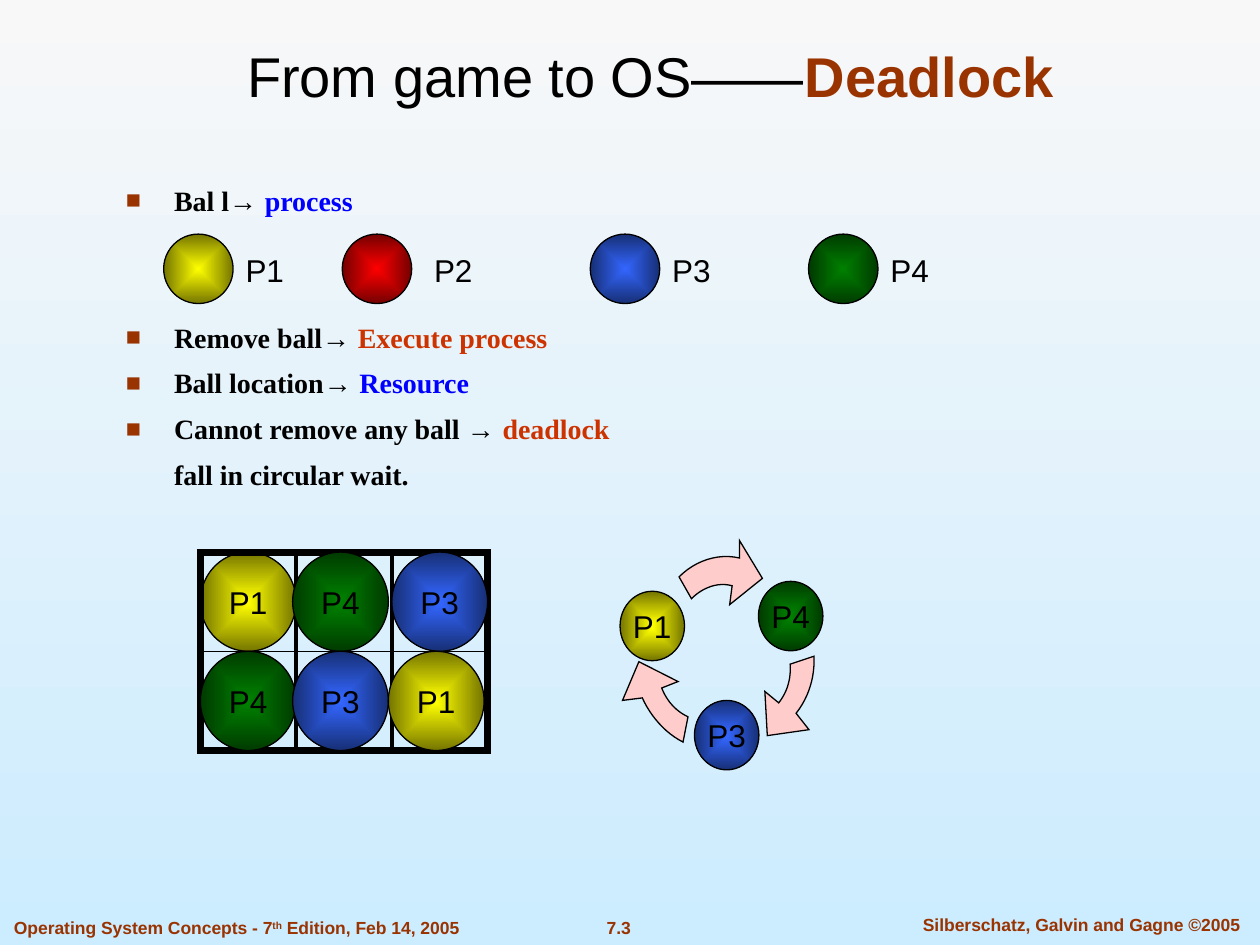
"""Build the slide that maps the ball game to operating system deadlock."""
from dataclasses import dataclass

import pptx
import pptx.dml.color
import pptx.enum.shapes
import pptx.enum.text
import pptx.oxml
import pptx.oxml.ns
import pptx.util
from pptx.util import Cm

ALIGN = pptx.enum.text.PP_ALIGN
ANCHOR = pptx.enum.text.MSO_ANCHOR
SHAPES = pptx.enum.shapes.MSO_SHAPE
A_NS = pptx.oxml.ns.nsdecls("a")
BLACK, BROWN, BLUE, ORANGE = "000000", "993300", "0000FF", "CC3300"
SANS, SERIF = "Arial", "Times New Roman"
BALL_COLORS = {
    "P1": ("FFFF00", "757500"),
    "P2": ("FF0000", "750000"),
    "P3": ("3366FF", "172F75"),
    "P4": ("008000", "003B00"),
}
Point = tuple[float, float]


@dataclass
class Ball:
    process: str
    left: float
    top: float
    width: float
    height: float
    labelled: bool = True


@dataclass
class Span:
    text: str
    color: str = BLACK
    font: str = SERIF
    bold: bool = True
    superscript: bool = False


@dataclass
class Line:
    spans: list[Span]
    space_before: float = 7
    bulleted: bool = True


@dataclass
class Arrow:
    inner: list[Point]
    outer: list[Point]
    head: list[Point]


def rgb(value: str) -> pptx.dml.color.RGBColor:
    return pptx.dml.color.RGBColor.from_string(value)


def write(paragraph, spans: list[Span], size: float) -> None:
    for span in spans:
        run = paragraph.add_run()
        run.text = span.text
        run.font.name = span.font
        run.font.size = pptx.util.Pt(size)
        run.font.bold = span.bold
        run.font.color.rgb = rgb(span.color)
        if span.superscript:
            run._r.get_or_add_rPr().set("baseline", "30000")


def add_text(slide, left: float, top: float, width: float, height: float,
             spans: list[Span], size: float, align=ALIGN.LEFT) -> None:
    frame = slide.shapes.add_textbox(Cm(left), Cm(top), Cm(width), Cm(height)).text_frame
    frame.word_wrap = True
    frame.paragraphs[0].alignment = align
    write(frame.paragraphs[0], spans, size)


def set_gradient(fill, colors: tuple[str, str]) -> None:
    fill.gradient()
    for stop, color, position in zip(fill.gradient_stops, colors, (0, 1)):
        stop.color.rgb = rgb(color)
        stop.position = position


def outline(shape, points: float = 0.75) -> None:
    shape.shadow.inherit = False
    shape.line.color.rgb = rgb(BLACK)
    shape.line.width = pptx.util.Pt(points)
    edge = shape._element.spPr.find(pptx.oxml.ns.qn("a:ln"))
    edge.append(pptx.oxml.parse_xml(f'<a:miter {A_NS} lim="800000"/>'))


def add_ball(slide, ball: Ball) -> None:
    shape = slide.shapes.add_shape(
        SHAPES.OVAL, Cm(ball.left), Cm(ball.top), Cm(ball.width), Cm(ball.height))
    outline(shape)
    set_gradient(shape.fill, BALL_COLORS[ball.process])
    gradient = shape._element.spPr.find(pptx.oxml.ns.qn("a:gradFill"))
    center = pptx.oxml.parse_xml(
        f'<a:path {A_NS} path="rect"><a:fillToRect l="50000" t="50000" r="50000" b="50000"/></a:path>')
    gradient.replace(gradient.find(pptx.oxml.ns.qn("a:lin")), center)
    if ball.labelled:
        frame = shape.text_frame
        frame.word_wrap = False
        frame.vertical_anchor = ANCHOR.MIDDLE
        frame.paragraphs[0].alignment = ALIGN.CENTER
        write(frame.paragraphs[0], [Span(ball.process, font=SANS, bold=False)], 18)


def add_rule(slide, start: Point, end: Point, points: float) -> None:
    rule = slide.shapes.add_connector(
        pptx.enum.shapes.MSO_CONNECTOR.STRAIGHT, *map(Cm, start), *map(Cm, end))
    rule.line.color.rgb = rgb(BLACK)
    rule.line.width = pptx.util.Pt(points)
    rule._element.spPr.append(pptx.oxml.parse_xml(f"<a:effectLst {A_NS}/>"))


def bezier(controls: list[Point], steps: int = 12) -> list[Point]:
    curve = []
    for step in range(steps + 1):
        t = step / steps
        weights = ((1 - t) ** 3, 3 * t * (1 - t) ** 2, 3 * t * t * (1 - t), t ** 3)
        curve.append(tuple(sum(w * p[axis] for w, p in zip(weights, controls)) for axis in (0, 1)))
    return curve


def add_arrow(slide, arrow: Arrow) -> None:
    start, *rest = [(Cm(x), Cm(y)) for x, y in bezier(arrow.inner) + bezier(arrow.outer) + arrow.head]
    builder = slide.shapes.build_freeform(*start)
    builder.add_line_segments(rest, close=True)
    shape = builder.convert_to_shape()
    outline(shape)
    shape.fill.solid()
    shape.fill.fore_color.rgb = rgb("FFCCCC")


def mapping(game: str, system: str, color: str, space_before: float = 7) -> Line:
    return Line([Span(game), Span("→ ", font=SANS), Span(system, color)], space_before)


def add_mappings(slide, lines: list[Line]) -> None:
    frame = slide.shapes.add_textbox(Cm(2.29), Cm(3.57), Cm(17.4), Cm(12.45)).text_frame
    frame.word_wrap = True
    for index, line in enumerate(lines):
        paragraph = frame.add_paragraph() if index else frame.paragraphs[0]
        properties = paragraph._p.get_or_add_pPr()
        properties.set("marL", str(Cm(0.97)))
        properties.set("indent", str(-Cm(0.97) if line.bulleted else 0))
        paragraph.space_before = pptx.util.Pt(line.space_before)
        if line.bulleted:
            for bullet in (f'<a:buClr {A_NS}><a:srgbClr val="{BROWN}"/></a:buClr>',
                           f'<a:buSzPct {A_NS} val="90000"/>',
                           f'<a:buFont {A_NS} typeface="{SANS}"/>',
                           f'<a:buChar {A_NS} char="■"/>'):
                properties.append(pptx.oxml.parse_xml(bullet))
        write(paragraph, line.spans, 16)


def add_board(slide, left: float = 4.04, top: float = 11.13,
              cell_width: float = 1.93, cell_height: float = 2) -> None:
    right, bottom = left + 3 * cell_width, top + 2 * cell_height
    rows = [[("P1", left), ("P4", 5.9), ("P3", 7.9)],
            [("P4", left), ("P3", 5.9), ("P1", 7.83)]]
    balls = [Ball(process, x, top + row * cell_height, cell_width, cell_height)
             for row, cells in enumerate(rows) for process, x in cells]
    add_ball(slide, balls[0])
    frame = slide.shapes.add_shape(SHAPES.RECTANGLE, Cm(left), Cm(top), Cm(right - left), Cm(bottom - top))
    frame.fill.background()
    outline(frame, 4)
    add_rule(slide, (left, top + cell_height), (right, top + cell_height), 0.75)
    for column in (1, 2):
        x = left + column * cell_width
        add_rule(slide, (x, top), (x, bottom), 2)
    for ball in balls[1:]:
        add_ball(slide, ball)


def add_title(slide) -> None:
    title = slide.shapes.title
    title.left, title.top, title.width, title.height = Cm(1.9), Cm(0.62), Cm(22.43), Cm(1.7)
    title.text_frame.vertical_anchor = ANCHOR.BOTTOM
    title.text_frame.auto_size = pptx.enum.text.MSO_AUTO_SIZE.NONE
    title.text_frame.paragraphs[0].alignment = ALIGN.CENTER
    write(title.text_frame.paragraphs[0],
          [Span("From game to OS——", font=SANS, bold=False), Span("Deadlock", BROWN, SANS)], 32)


def main() -> None:
    deck = pptx.Presentation()
    deck.slide_width, deck.slide_height = Cm(25.4), Cm(19.05)
    slide = deck.slides.add_slide(deck.slide_layouts[5])
    set_gradient(slide.background.fill, ("F8F8F8", "CCECFF"))
    slide.background.fill.gradient_angle = 270

    add_title(slide)
    add_mappings(slide, [
        mapping("Bal l", "process", BLUE, 0),
        mapping("Remove ball", "Execute process", ORANGE, 59),
        mapping("Ball location", "Resource", BLUE),
        mapping("Cannot remove any ball ", "deadlock", ORANGE),
        Line([Span("fall in circular wait.")], bulleted=False),
    ])
    add_board(slide)
    for process, left, label_left in (("P1", 3.3, 4.7), ("P2", 6.9, 8.5),
                                      ("P3", 11.9, 13.3), ("P4", 16.3, 17.7)):
        add_ball(slide, Ball(process, left, 4.72, 1.4, 1.4, labelled=False))
        add_text(slide, label_left, 4.93, 1.6, 1.02, [Span(process, font=SANS, bold=False)], 18)
    for process, left, top in (("P3", 14, 14.12), ("P4", 15.29, 11.72), ("P1", 12.5, 11.92)):
        add_ball(slide, Ball(process, left, top, 1.3, 1.4))
    for arrow in (
        Arrow([(14.76, 11.81), (14.48, 11.73), (14.17, 11.84), (13.94, 12.07)],
              [(13.69, 11.63), (14.02, 11.3), (14.48, 11.15), (14.91, 11.25)],
              [(14.91, 10.9), (15.37, 11.66), (14.71, 12.19)]),
        Arrow([(15.7, 14.17), (15.88, 13.94), (15.95, 13.67), (15.93, 13.39)],
              [(16.41, 13.23), (16.43, 13.64), (16.31, 14.05), (16.05, 14.38)],
              [(16.31, 14.71), (15.47, 14.83), (15.42, 13.94)]),
        Arrow([(13.34, 13.87), (13.44, 14.12), (13.61, 14.33), (13.87, 14.45)],
              [(13.77, 14.96), (13.41, 14.78), (13.11, 14.43), (12.95, 14.07)],
              [(12.55, 14.12), (12.88, 13.34), (13.67, 13.74)]),
    ):
        add_arrow(slide, arrow)

    edition = [Span("Operating System Concepts - 7", BROWN, SANS),
               Span("th", BROWN, SANS, superscript=True),
               Span(" Edition, Feb 14, 2005", BROWN, SANS)]
    add_text(slide, 0.03, 18.37, 10.5, 0.68, edition, 10)
    add_text(slide, 11.23, 18.37, 2.49, 0.68, [Span("7.3", BROWN, SANS)], 10, ALIGN.CENTER)
    add_text(slide, 18.03, 18.3, 7.54, 0.68,
             [Span("Silberschatz, Galvin and Gagne ©2005", BROWN, SANS)], 10, ALIGN.CENTER)
    deck.save("out.pptx")


if __name__ == "__main__":
    main()
